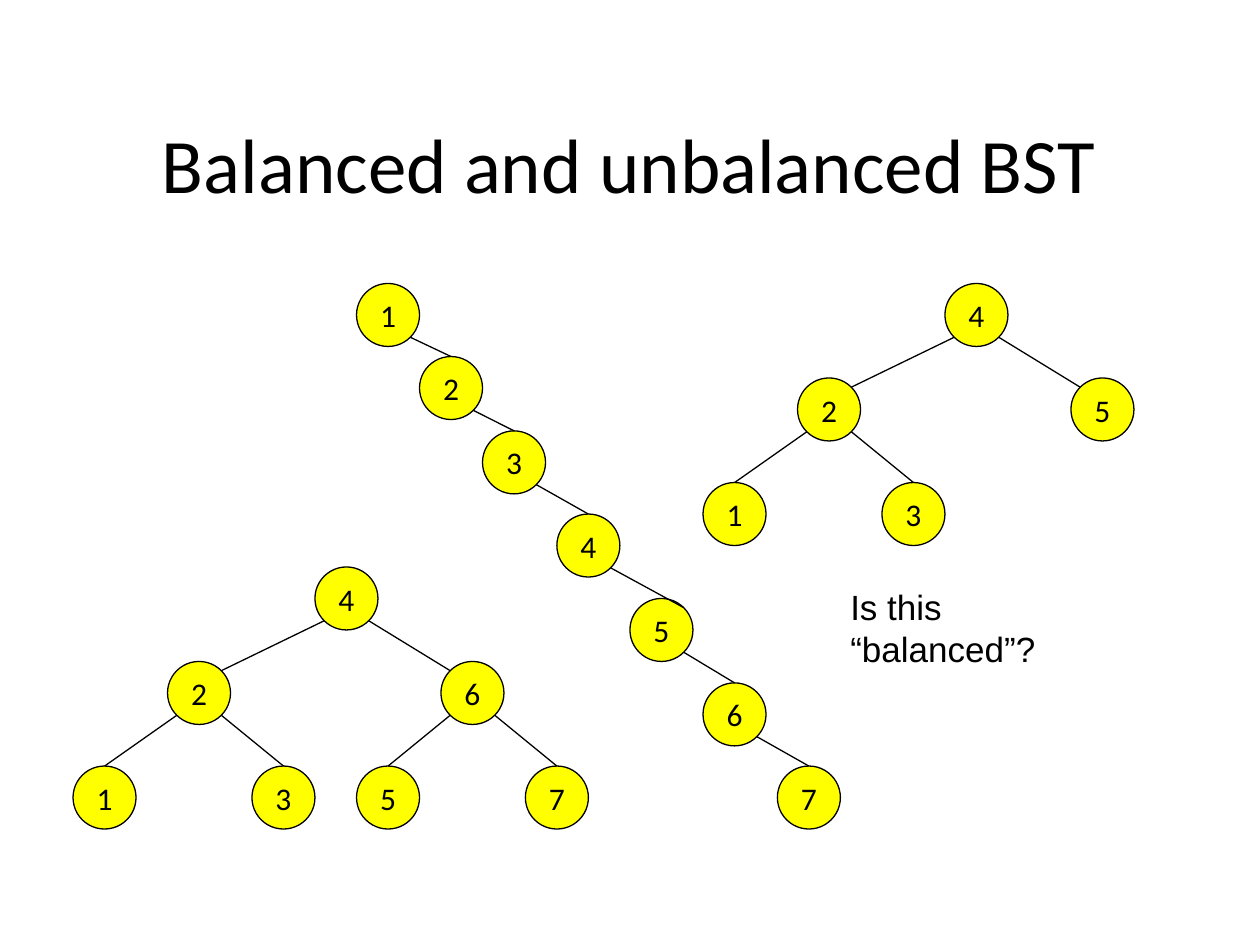
from dataclasses import dataclass
from math import sqrt
from typing import Optional

from lxml import etree
from pptx import Presentation
from pptx.dml.color import RGBColor
from pptx.enum.shapes import MSO_CONNECTOR, MSO_SHAPE
from pptx.enum.text import MSO_ANCHOR, MSO_AUTO_SIZE, PP_ALIGN
from pptx.oxml.ns import qn
from pptx.util import Inches, Pt

BLACK = RGBColor(0x00, 0x00, 0x00)
YELLOW = RGBColor(0xFF, 0xFF, 0x00)
STRAIGHT = MSO_CONNECTOR.STRAIGHT
OVAL = MSO_SHAPE.OVAL
MIDDLE = MSO_ANCHOR.MIDDLE
TOP = MSO_ANCHOR.TOP
CENTER = PP_ALIGN.CENTER
LEFT = PP_ALIGN.LEFT
FIT_SHAPE = MSO_AUTO_SIZE.SHAPE_TO_FIT_TEXT
NO_FIT = MSO_AUTO_SIZE.NONE

RADIUS = 0.25
DIAGONAL = RADIUS / sqrt(2)
LINE_WIDTH = Pt(0.75)


@dataclass(frozen=True)
class Node:
    key: int
    x: float
    y: float
    parent: Optional[int] = None
    entry_side: int = 0


@dataclass(frozen=True)
class Tree:
    left: float
    top: float
    nodes: tuple[Node, ...]


LEFT_SUBTREE = (
    Node(4, 0, 0),
    Node(2, -1.17, 0.75, parent=4, entry_side=1),
    Node(1, -1.92, 1.58, parent=2),
    Node(3, -0.5, 1.58, parent=2),
)
TREES = (
    Tree(7.5, 2.25, LEFT_SUBTREE + (Node(5, 1, 0.75, parent=4, entry_side=-1),)),
    Tree(2.83, 2.25, (
        Node(1, 0, 0),
        Node(2, 0.5, 0.58, parent=1),
        Node(3, 1, 1.17, parent=2),
        Node(4, 1.59, 1.83, parent=3),
        Node(5, 2.17, 2.5, parent=4, entry_side=1),
        Node(6, 2.75, 3.17, parent=5),
        Node(7, 3.34, 3.83, parent=6),
    )),
    Tree(2.5, 4.5, LEFT_SUBTREE + (
        Node(6, 1, 0.75, parent=4, entry_side=-1),
        Node(5, 0.33, 1.58, parent=6),
        Node(7, 1.67, 1.58, parent=6),
    )),
)


def write_text(shape, text, *, size, font="Calibri", align=CENTER,
               anchor=MIDDLE, wrap=False, fit=NO_FIT) -> None:
    frame = shape.text_frame
    frame.text = text
    frame.word_wrap = wrap
    frame.auto_size = fit
    frame.vertical_anchor = anchor
    paragraph = frame.paragraphs[0]
    paragraph.alignment = align
    paragraph.font.size = Pt(size)
    paragraph.font.name = font
    paragraph.font.color.rgb = BLACK


def place(shape, left: float, top: float, width: float, height: float) -> None:
    shape.left, shape.top = Inches(left), Inches(top)
    shape.width, shape.height = Inches(width), Inches(height)


def draw_node(slide, tree: Tree, node: Node) -> None:
    shape = slide.shapes.add_shape(
        OVAL, Inches(tree.left + node.x), Inches(tree.top + node.y),
        Inches(2 * RADIUS), Inches(2 * RADIUS))
    shape.shadow.inherit = False
    shape.fill.solid()
    shape.fill.fore_color.rgb = YELLOW
    shape.line.color.rgb = BLACK
    shape.line.width = LINE_WIDTH
    write_text(shape, str(node.key), size=18)


def draw_edge(slide, tree: Tree, parent: Node, child: Node) -> None:
    center_x, center_y = tree.left + RADIUS, tree.top + RADIUS
    exit_side = 1 if child.x > parent.x else -1
    rise = DIAGONAL if child.entry_side else RADIUS
    connector = slide.shapes.add_connector(
        STRAIGHT,
        Inches(center_x + parent.x + exit_side * DIAGONAL),
        Inches(center_y + parent.y + DIAGONAL),
        Inches(center_x + child.x + child.entry_side * DIAGONAL),
        Inches(center_y + child.y - rise))
    connector.line.color.rgb = BLACK
    connector.line.width = LINE_WIDTH
    etree.SubElement(connector._element.spPr, qn("a:effectLst"))


def draw_tree(slide, tree: Tree) -> None:
    by_key = {node.key: node for node in tree.nodes}
    for node in tree.nodes:
        draw_node(slide, tree, node)
    for node in tree.nodes:
        if node.parent is not None:
            draw_edge(slide, tree, by_key[node.parent], node)


def main() -> None:
    presentation = Presentation()
    presentation.slide_width = Inches(10)
    presentation.slide_height = Inches(7.5)
    slide = presentation.slides.add_slide(presentation.slide_layouts[5])

    title = slide.shapes.title
    place(title, 0.58, 0.67, 8.83, 1.25)
    write_text(title, "Balanced and unbalanced BST", size=44, wrap=True)

    for tree in TREES:
        draw_tree(slide, tree)

    question = slide.shapes.add_textbox(
        Inches(6.65), Inches(4.6), Inches(2.47), Inches(0.44))
    write_text(question, "Is this “balanced”?", size=20, font="Arial",
               align=LEFT, anchor=TOP, fit=FIT_SHAPE)

    presentation.save("out.pptx")


if __name__ == "__main__":
    main()
